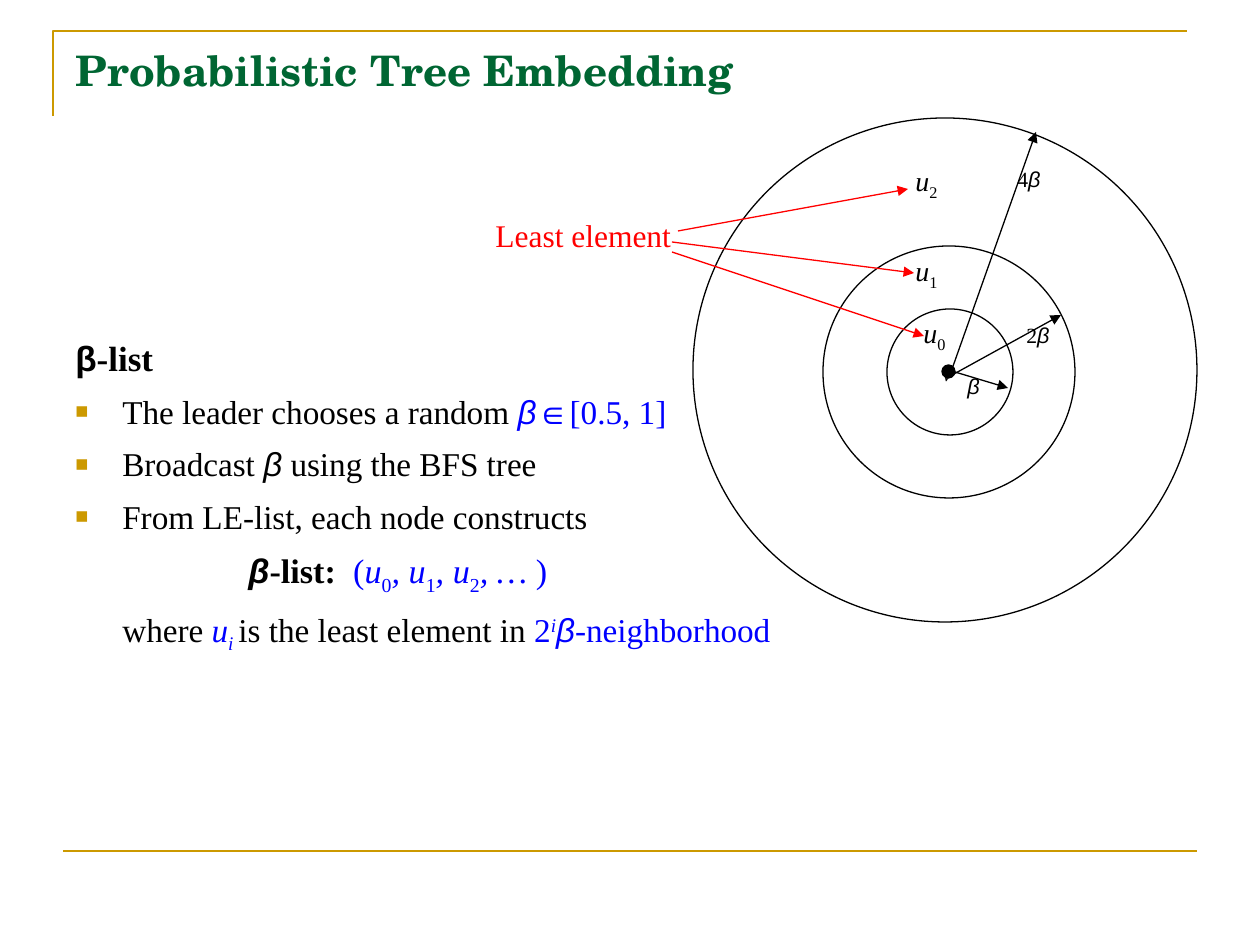
from lxml import etree
from pptx import Presentation
from pptx.dml.color import RGBColor
from pptx.enum.shapes import MSO_CONNECTOR, MSO_SHAPE
from pptx.enum.text import MSO_ANCHOR, PP_ALIGN
from pptx.oxml.ns import qn
from pptx.util import Emu, Pt

STRAIGHT = MSO_CONNECTOR.STRAIGHT
OVAL = MSO_SHAPE.OVAL
TOP = MSO_ANCHOR.TOP
LEFT = PP_ALIGN.LEFT

BLACK = RGBColor(0x00, 0x00, 0x00)
GOLD = RGBColor(0xCC, 0x99, 0x00)
GREEN = RGBColor(0x00, 0x66, 0x33)
BLUE = RGBColor(0x00, 0x00, 0xFF)
RED = RGBColor(0xFF, 0x00, 0x00)

SERIF = "Times New Roman"
SYMBOL = "Arial"
HEADING = "TeX Gyre Schola"
BASELINES = {"_": "-25000", "^": "30000"}


def px(n):
    return Emu(round(n * 914400 / 126))


class Deck:
    def __init__(self, width, height):
        self.prs = Presentation()
        self.prs.slide_width, self.prs.slide_height = px(width), px(height)
        self.s = self.prs.slides.add_slide(self.prs.slide_layouts[5])

    def title(self, text, x, y, w, h):
        sp = self.s.shapes.title
        sp.left, sp.top, sp.width, sp.height = px(x), px(y), px(w), px(h)
        tf = sp.text_frame
        tf.text = text
        tf.vertical_anchor = TOP
        p = tf.paragraphs[0]
        p.alignment = LEFT
        font = p.runs[0].font
        font.name, font.size, font.bold = HEADING, Pt(24), True
        font.color.rgb = GREEN

    def frame_line(self, points):
        builder = self.s.shapes.build_freeform(*map(px, points[0]))
        builder.add_line_segments([tuple(map(px, pt)) for pt in points[1:]], close=False)
        sp = builder.convert_to_shape()
        sp.shadow.inherit = False
        sp.fill.background()
        sp.line.color.rgb, sp.line.width = GOLD, Pt(1.5)

    def line(self, start, end, color, width=0.75, arrow=True):
        c = self.s.shapes.add_connector(STRAIGHT, *map(px, start + end))
        c.line.color.rgb, c.line.width = color, Pt(width)
        spPr = c._element.spPr
        if arrow:
            etree.SubElement(spPr.find(qn("a:ln")), qn("a:tailEnd"), type="triangle")
        etree.SubElement(spPr, qn("a:effectLst"))

    def circle(self, x, y, d, fill=None):
        sp = self.s.shapes.add_shape(OVAL, px(x), px(y), px(d), px(d))
        sp.shadow.inherit = False
        if fill is None:
            sp.fill.background()
        else:
            sp.fill.solid()
            sp.fill.fore_color.rgb = fill
        sp.line.color.rgb, sp.line.width = BLACK, Pt(0.75)

    def text_box(self, x, y, w, h):
        tf = self.s.shapes.add_textbox(px(x), px(y), px(w), px(h)).text_frame
        tf.word_wrap = True
        return tf

    def add_runs(self, p, runs, size, spacing, before):
        p.line_spacing, p.space_before = spacing, Pt(before)
        for text, marks, color in runs:
            r = p.add_run()
            r.text = text
            font = r.font
            font.name = SYMBOL if text in "β∈" else SERIF
            font.size, font.color.rgb = Pt(size), color
            font.bold, font.italic = "b" in marks, "i" in marks
            for mark, baseline in BASELINES.items():
                if mark in marks:
                    r._r.get_or_add_rPr().set("baseline", baseline)

    def label(self, x, y, w, h, runs, size, spacing=1.0, before=4):
        tf = self.text_box(x, y, w, h)
        self.add_runs(tf.paragraphs[0], runs, size, spacing, before)

    def body(self, x, y, w, h, items):
        tf = self.text_box(x, y, w, h)
        for i, (runs, size, margin, bullet) in enumerate(items):
            p = tf.add_paragraph() if i else tf.paragraphs[0]
            self.add_runs(p, runs, size, 1.1, 5)
            pPr = p._p.get_or_add_pPr()
            pPr.set("marL", str(px(margin)))
            pPr.set("indent", str(px(-margin if bullet else 0)))
            if bullet:
                color = etree.SubElement(pPr, qn("a:buClr"))
                etree.SubElement(color, qn("a:srgbClr"), val=str(GOLD))
                etree.SubElement(pPr, qn("a:buSzPct"), val="65000")
                etree.SubElement(pPr, qn("a:buFont"), typeface=SYMBOL)
                etree.SubElement(pPr, qn("a:buChar"), char="■")


def main():
    deck = Deck(1260, 945)
    deck.frame_line([(53, 116), (53, 31), (1187, 31)])
    deck.line((63, 851), (1197, 851), GOLD, 1.5, arrow=False)
    deck.title("Probabilistic Tree Embedding", 63, 38, 1134, 157)

    deck.circle(942, 365, 13, BLACK)
    for x, y, d in [(887, 309, 126), (823, 246, 252), (693, 118, 504)]:
        deck.circle(x, y, d)
    for start, end in [((955, 372), (1008, 388)), ((954, 374), (1061, 315)),
                       ((951, 372), (1036, 132))]:
        deck.line(start, end, BLACK)

    beta = ("β", "i", BLACK)
    for x, y, w, runs in [(955, 372, 42, [beta]),
                          (1014, 321, 73, [("2", "", BLACK), beta]),
                          (1005, 165, 63, [("4", "", BLACK), beta]),
                          (930, 359, 42, [("v", "i", BLACK)])]:
        deck.label(x, y, w, 42, runs, 12.4, 0.8)
    for i, (x, y) in enumerate([(911, 309), (903, 247), (903, 157)]):
        deck.label(x, y, 53, 53, [("u", "i", BLACK), (str(i), "_", BLACK)], 16)

    deck.label(483, 210, 210, 53, [("Least element", "", RED)], 18, before=4.5)
    for start, end in [((672, 252), (924, 336)), ((672, 242), (914, 273)),
                       ((678, 231), (908, 189))]:
        deck.line(start, end, RED)

    sequence = [("(", "", BLUE), ("u", "i", BLUE), ("0", "_", BLUE)]
    for i in "12":
        sequence += [(", u", "i", BLUE), (i, "_", BLUE)]
    sequence += [(", … ", "i", BLUE), (")", "", BLUE)]
    deck.body(63, 326, 1134, 518, [
        ([("β", "b", BLACK), ("-list", "b", BLACK)], 20, 0, False),
        ([("The leader chooses a random ", "", BLACK), ("β", "i", BLUE),
          ("∈", "", BLUE), ("[0.5, 1]", "", BLUE)], 19, 47, True),
        ([("Broadcast ", "", BLACK), beta, (" using the BFS tree", "", BLACK)], 19, 47, True),
        ([("From LE-list, each node constructs", "", BLACK)], 19, 47, True),
        ([("β", "bi", BLACK), ("-list:  ", "b", BLACK)] + sequence, 19.5, 173, False),
        ([("where ", "", BLACK), ("u", "i", BLUE), ("i ", "i_", BLUE),
          ("is the least element in ", "", BLACK), ("2", "", BLUE), ("i", "i^", BLUE),
          ("β", "i", BLUE), ("-neighborhood", "", BLUE)], 19, 47, False),
    ])
    deck.prs.save("out.pptx")


if __name__ == "__main__":
    main()
